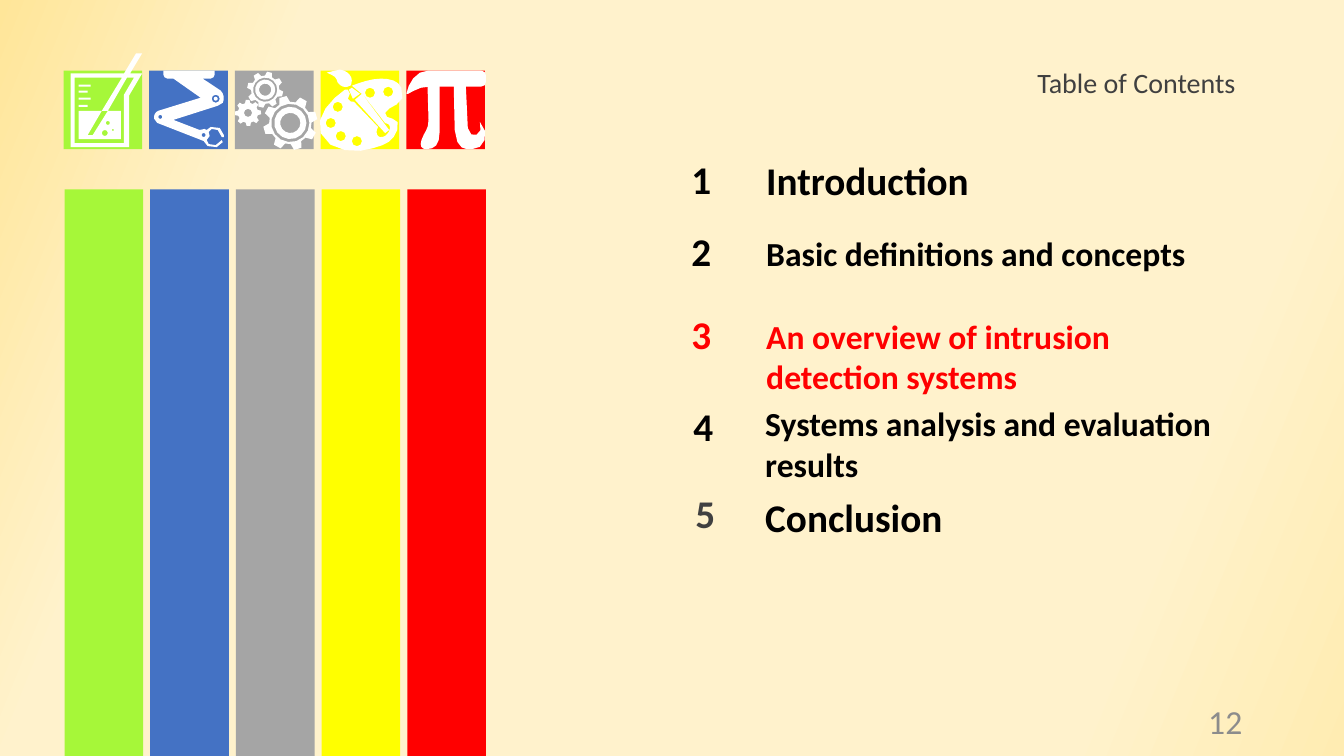
from math import cos, sin, radians, dist
from pptx import Presentation
from pptx.dml.color import RGBColor
from pptx.enum.shapes import MSO_SHAPE
from pptx.enum.text import MSO_ANCHOR, MSO_AUTO_SIZE, PP_ALIGN
from pptx.oxml import parse_xml
from pptx.oxml.ns import nsdecls, qn
from pptx.util import Inches, Pt

STRIPE_COLORS = ["A6F739", "4472C4", "A5A5A5", "FFFF00", "FF0000"]
STRIPE_STEP, STRIPE_WIDTH = 0.85, 0.78

# Agenda rows: number, left and top of number, title, left and top of title, title size, colours
AGENDA = [
    ("1", 6.43, 1.49, "Introduction", 7.48, 1.5, 28, "000000", "000000"),
    ("2", 6.43, 2.21, "Basic definitions and concepts", 7.48, 2.26, 24, "000000", "000000"),
    ("3", 6.43, 3.03, "An overview of intrusion detection systems", 7.48, 3.08, 24, "FF0000", "FF0000"),
    ("4", 6.45, 3.94, "Systems analysis and evaluation results", 7.47, 3.95, 24, "000000", "000000"),
    ("5", 6.47, 4.81, "Conclusion", 7.47, 4.84, 28, "404040", "000000"),
]

# Icon outlines in inches; C starts a curve with two control points and an end
BEAKER = [
    ".78,1.1 1.01,1.1 .87,1.34 .92,1.34 1.07,1.1 1.2,1.1 1.2,1.38 .78,1.38",
    "1.13,.77 .74,.77 .74,1.42 1.23,1.42 1.23,.94 1.33,.77 1.26,.77 1.07,1.1 1.01,1.1 1.21,.77",
    "1.35,.53 1.41,.53 1.29,.73 1.41,.73 1.28,.95 1.28,1.46 .7,1.46 .7,.73 1.14,.73 1.23,.73",
]
BEAKER_MARKS = [(0.87, 1.04), (0.9, 0.97), (0.87, 0.9), (0.9, 0.84)]
BUBBLES = [(1.04, 1.32, 0.03), (1.12, 1.29, 0.01), (1.07, 1.22, 0.02)]

ROBOT_ARM = [
    "1.62,.7 2.13,.7 2.13,.74 C 2.13,.76 2.11,.78 2.09,.78 2.01,.78 2.19,.9 "
    "C 2.22,.93 2.23,.98 2.21,1.02 2.16,1.05 1.72,1.19 1.98,1.29 2.03,1.28 2.05,1.29 2.09,1.26 "
    "2.18,1.27 2.22,1.34 2.22,1.36 2.2,1.36 2.16,1.29 2.1,1.28 2.07,1.31 2.08,1.35 2.05,1.39 "
    "2.07,1.43 2.14,1.44 2.2,1.39 2.21,1.41 2.15,1.46 2.06,1.45 2.02,1.4 1.97,1.38 1.56,1.22 "
    "1.53,1.18 C 1.52,1.15 1.54,1.11 1.57,1.1 1.99,.97 1.72,.78 1.66,.78 "
    "C 1.64,.78 1.62,.76 1.62,.74",
]
JOINTS = [(2.02, 1.34, 0.02), (1.59, 1.16, 0.02), (2.14, 0.98, 0.02), (2.14, 0.98, 0.04)]

# Gears: centre, root radius, tip radius, angle of first tooth, ring radii
GEARS = [
    (2.88, 1.22, 0.21, 0.27, -16, (0.19, 0.16, 0.1)),
    (2.63, 0.89, 0.14, 0.18, 14, (0.12, 0.1, 0.06)),
    (2.46, 1.12, 0.1, 0.13, -2, (0.04,)),
]

PALETTE = [
    "3.59,.93 3.86,1.29 3.82,1.32 3.52,.99",
    "3.49,.87 3.57,.93 3.5,.98 3.46,.89",
    "3.78,.78 C 3.87,.78 3.95,.8 3.98,.87 C 4.06,1.05 3.83,1.05 3.82,1.12 C 3.8,1.2 4,1.14 3.94,1.29 "
    "C 3.9,1.4 3.84,1.43 3.7,1.47 C 3.57,1.52 3.26,1.52 3.18,1.32 C 3.12,1.15 3.29,.98 3.42,.89 "
    "3.45,.89 3.47,.93 3.45,.98 C 3.46,1 3.49,1.02 3.51,1.01 3.75,1.26 "
    "C 3.73,1.29 3.73,1.33 3.75,1.35 C 3.77,1.37 3.82,1.36 3.84,1.33 C 3.87,1.3 3.88,1.25 3.85,1.23 "
    "3.82,1.22 3.61,.95 3.49,.85 C 3.57,.82 3.68,.78 3.78,.78",
    "3.37,.69 3.41,.7 C 3.46,.72 3.49,.76 3.49,.8 C 3.49,.84 3.48,.86 3.45,.86 "
    "C 3.42,.87 3.38,.86 3.35,.82 C 3.33,.76 3.33,.76 3.24,.72",
]
PAINT_SPOTS = [(3.54, 1.4, 0.05), (3.38, 1.35, 0.05), (3.28, 1.22, 0.05),
               (3.35, 1.06, 0.05), (3.67, 0.92, 0.05), (3.85, 0.91, 0.05)]

PI_PARTS = [
    "4.82,.75 4.82,.81 C 4.82,.84 4.8,.86 4.77,.86 4.26,.86 "
    "C 4.14,.85 4.03,.96 4.03,.93 C 4.05,.83 4.12,.7 4.25,.7 4.77,.7 C 4.8,.7 4.82,.72 4.82,.75",
    "4.23,1.48 C 4.18,1.48 4.16,1.45 4.18,1.39 C 4.21,1.3 4.25,1.29 4.25,1.19 "
    "4.24,.84 4.36,.84 4.36,1.31 C 4.36,1.44 4.31,1.48 4.23,1.48",
    "4.68,1.48 C 4.62,1.48 4.53,1.5 4.51,1.29 4.5,.84 4.62,.84 4.64,1.27 "
    "C 4.66,1.4 4.81,1.34 4.76,1.21 C 4.87,1.32 4.8,1.49 4.68,1.48",
]


def rgb(value):
    return RGBColor.from_string(value)


def polar(x, y, radius, degrees):
    return x + radius * cos(radians(degrees)), y + radius * sin(radians(degrees))


def circle(x, y, radius):
    step = 45 if radius < 0.06 else 24
    return [polar(x, y, radius, degrees) for degrees in range(0, 360, step)]


def gear_outline(x, y, root, tip, first_angle):
    corners = [(root, -15), (tip, -8), (tip, 8), (root, 15)]
    return [polar(x, y, radius, first_angle + 45 * tooth + offset)
            for tooth in range(8) for radius, offset in corners]


def outline(text):
    """Turn an outline string into points; longer curves get more of them."""
    points, tokens = [], iter(text.split())
    for token in tokens:
        if token != "C":
            points.append(tuple(map(float, token.split(","))))
            continue
        curve = [points[-1]] + [tuple(map(float, next(tokens).split(","))) for _ in range(3)]
        steps = 2 if dist(curve[0], curve[3]) < 0.08 else 4
        for step in range(1, steps + 1):
            t = step / steps
            weights = ((1 - t) ** 3, 3 * t * (1 - t) ** 2, 3 * t * t * (1 - t), t ** 3)
            points.append(tuple(sum(w * p[axis] for w, p in zip(weights, curve)) for axis in (0, 1)))
    return points


class SlideBuilder:
    font_name = "Calibri"

    def __init__(self, slide):
        self.slide = slide

    def background(self, stops, angle):
        fill = self.slide.background.fill
        fill.gradient()
        fill.gradient_angle = 360 - angle
        stop_list = next(self.slide.element.iter(qn("a:gsLst")))
        for stop in list(stop_list):
            stop_list.remove(stop)
        for percent, color in stops:
            stop_list.append(parse_xml(
                f'<a:gs {nsdecls("a")} pos="{percent * 1000}"><a:srgbClr val="{color}"/></a:gs>'))

    def paint(self, shape, color):
        shape.shadow.inherit = False
        shape.fill.solid()
        shape.fill.fore_color.rgb = rgb(color)
        shape.line.fill.background()

    def rectangle(self, left, top, width, height, color):
        shape = self.slide.shapes.add_shape(
            MSO_SHAPE.RECTANGLE, Inches(left), Inches(top), Inches(width), Inches(height))
        self.paint(shape, color)

    def icon(self, contours, color="FFFFFF"):
        contours = [[(Inches(x), Inches(y)) for x, y in contour] for contour in contours]
        builder = self.slide.shapes.build_freeform(*contours[0][0])
        for index, contour in enumerate(contours):
            if index:
                builder.move_to(*contour[0])
            builder.add_line_segments(contour[1:], close=True)
        self.paint(builder.convert_to_shape(), color)

    def text(self, text, left, top, width, height, size, color, bold=False,
             align=PP_ALIGN.LEFT, anchor=MSO_ANCHOR.TOP, inset=0.1, grow=True):
        box = self.slide.shapes.add_textbox(Inches(left), Inches(top), Inches(width), Inches(height))
        frame = box.text_frame
        frame.word_wrap = True
        frame.auto_size = MSO_AUTO_SIZE.SHAPE_TO_FIT_TEXT if grow else MSO_AUTO_SIZE.NONE
        frame.vertical_anchor = anchor
        frame.margin_left = frame.margin_right = Inches(inset)
        paragraph = frame.paragraphs[0]
        paragraph.text = text
        paragraph.alignment = align
        font = paragraph.font
        font.name, font.size, font.bold = self.font_name, Pt(size), bold
        font.color.rgb = rgb(color)


def main():
    presentation = Presentation()
    presentation.slide_width, presentation.slide_height = Inches(13.33), Inches(7.5)
    page = SlideBuilder(presentation.slides.add_slide(presentation.slide_layouts[6]))
    page.background([(0, "FFE699"), (19, "FFF2CC"), (83, "FFF2CC"), (100, "FFECB2")], 22)

    # Page number and heading
    page.text("12", 9.42, 6.95, 3, 0.4, 24, "8C8C8C", align=PP_ALIGN.RIGHT,
              anchor=MSO_ANCHOR.MIDDLE, grow=False)
    page.text("Table of Contents", 10.19, 0.6, 2.44, 0.44, 20, "404040", anchor=MSO_ANCHOR.MIDDLE)

    # Stripes and the tiles above them
    for left, top, height in [(0.64, 1.88, 5.62), (0.63, 0.7, 0.78)]:
        for index, color in enumerate(STRIPE_COLORS):
            page.rectangle(left + index * STRIPE_STEP, top, STRIPE_WIDTH, height, color)

    # Subject icons
    marks = [[(0.78, top), (right, top), (right, top + 0.02), (0.78, top + 0.02)]
             for right, top in BEAKER_MARKS]
    for outlines, circles, extra in [(ROBOT_ARM, JOINTS, []), (PALETTE, PAINT_SPOTS, []),
                                     (BEAKER, BUBBLES, marks)]:
        page.icon([outline(text) for text in outlines] + [circle(*spot) for spot in circles] + extra)
    for part in PI_PARTS:
        page.icon([outline(part)])
    for x, y, root, tip, angle, rings in GEARS:
        page.icon([gear_outline(x, y, root, tip, angle)] + [circle(x, y, radius) for radius in rings])

    # Agenda
    for number, number_left, number_top, title, left, top, size, number_color, color in AGENDA:
        height = 0.91 if len(title) > 35 else 0.57 if size == 28 else 0.5
        page.text(title, left, top, 5.16 if number == "4" else 4.93, height, size, color,
                  bold=True, inset=0.12)
        page.text(number, number_left, number_top, 1.05, 0.57, 28, number_color,
                  bold=True, align=PP_ALIGN.CENTER, inset=0.12)

    presentation.save("out.pptx")


if __name__ == "__main__":
    main()
